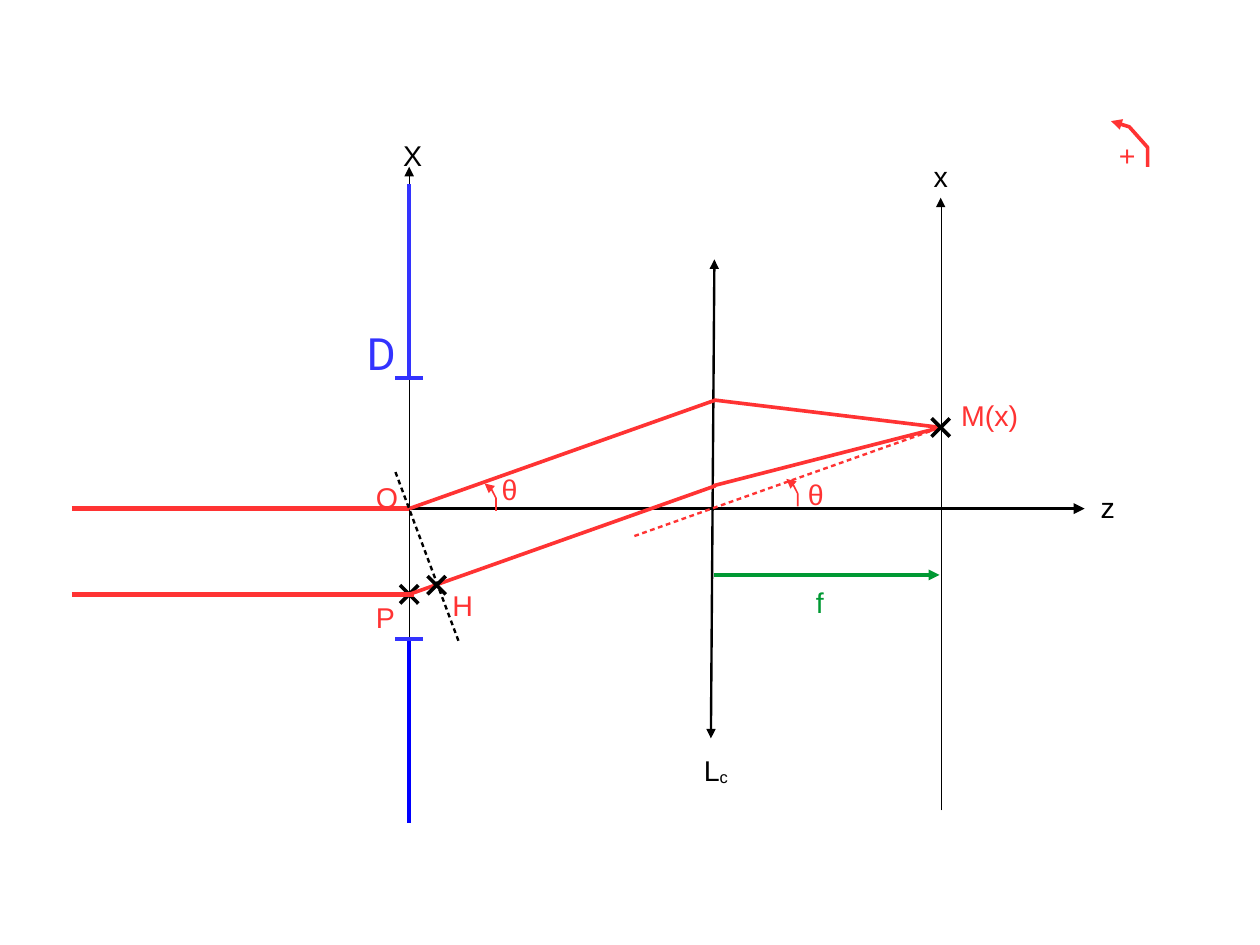
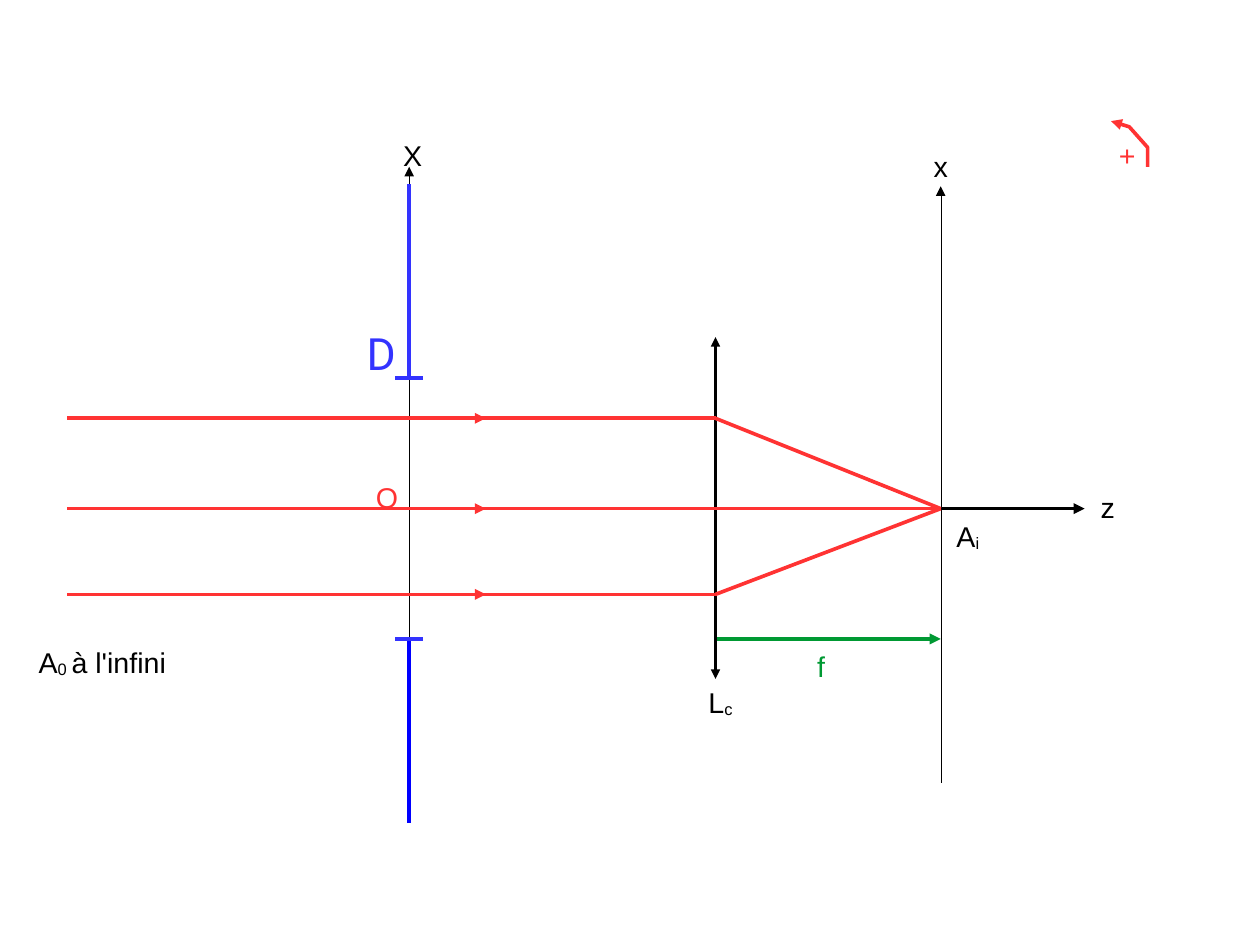
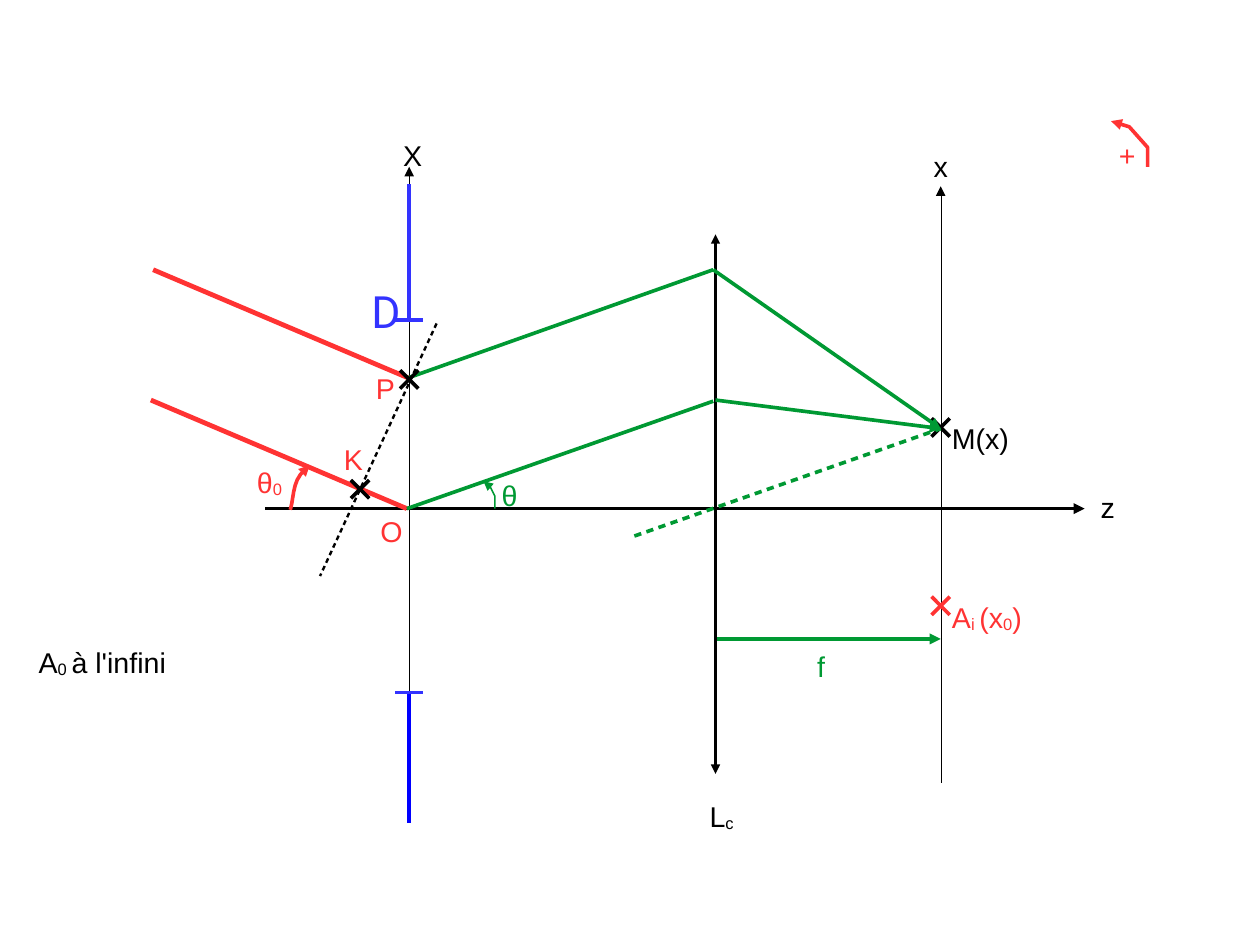
from lxml import etree
from pptx import Presentation
from pptx import util as u
from pptx.dml.color import RGBColor
from pptx.enum import shapes, text
from pptx.oxml.ns import qn

PX = 9144  # EMU per px, 100 px to the inch
BLACK = RGBColor(0x00, 0x00, 0x00)
RED = RGBColor(0xFF, 0x33, 0x33)
GREEN = RGBColor(0x00, 0x99, 0x33)
BLUE = RGBColor(0x33, 0x33, 0xFF)
DEEP_BLUE = RGBColor(0x00, 0x00, 0xFF)
HAIRLINE, ARC, THIN, NORMAL, THICK = 0.03, 1, 1.5, 2.3, 3

APERTURE_X, LENS_X, SCREEN_X, AXIS_Y = 358, 626, 823, 445
THETA_ARC = [(0, 0), (0, -11), (-5, -21), (-10, -24)]


def draw_line(slide, points, color, width=NORMAL, ends="", dashed=False):
    """Draw a connector for two points, an open outline for more.

    ends lists the arrowheads: "tail" is at the last point, "head" at the first.
    """
    scaled = [(x * PX, y * PX) for x, y in points]
    if len(points) == 2:
        stroke = slide.shapes.add_connector(
            shapes.MSO_CONNECTOR.STRAIGHT, *scaled[0], *scaled[1])
    else:
        builder = slide.shapes.build_freeform(*scaled[0])
        builder.add_line_segments(scaled[1:], close=False)
        stroke = builder.convert_to_shape()
        stroke.fill.background()
    stroke.line.color.rgb = color
    stroke.line.width = u.Pt(width)
    properties = stroke._element.spPr
    outline = properties.find(qn("a:ln"))
    if dashed:
        dashes = etree.SubElement(outline, qn("a:custDash"))
        etree.SubElement(dashes, qn("a:ds"), d="200000", sp="150000")
    for end in ends.split():
        etree.SubElement(outline, qn(f"a:{end}End"), type="triangle")
    etree.SubElement(properties, qn("a:effectLst"))


def add_label(slide, x, y, wording, color, width=47, height=38, size=18, font="Arial"):
    """Write a label; the parts between underscores are subscripts."""
    box = slide.shapes.add_textbox(x * PX, y * PX, width * PX, height * PX)
    frame = box.text_frame
    frame.word_wrap = True
    frame.auto_size = text.MSO_AUTO_SIZE.SHAPE_TO_FIT_TEXT
    for index, part in enumerate(wording.split("_")):
        if part:
            run = frame.paragraphs[0].add_run()
            run.text = part
            run.font.size = u.Pt(size)
            run.font.name = font
            run.font.color.rgb = color
            if index % 2:
                run._r.get_or_add_rPr().set("baseline", "-8000")


beam_heights = (366, AXIS_Y, 520)
beams = [([(59, y), (LENS_X, y)], RED) for y in beam_heights]
beams += [([(LENS_X, y), (SCREEN_X, AXIS_Y)], RED) for y in beam_heights]
beams += [([(71, y), (425, y)], RED, NORMAL, "tail") for y in beam_heights]

# Incidence angle: a cubic curve sampled in steps, then a straight end
curve = [(254, 446), (257, 436), (256, 424), (263, 415)]
incidence_arc = []
for step in range(7):
    t = step / 6
    weights = ((1 - t) ** 3, 3 * t * (1 - t) ** 2, 3 * t ** 2 * (1 - t), t ** 3)
    incidence_arc.append(tuple(
        round(sum(w * point[axis] for w, point in zip(weights, curve)), 2)
        for axis in (0, 1)))
incidence_arc.append((271, 407))

scenes = [
    dict(  # diffraction at normal incidence
        screen=(709, 173), screen_label_y=134, edges=(331, 559), stop_label=(311, 280),
        lens=[(622, 646), (625, 227)], lens_label=(606, 654),
        focal_x=(625, 822), focal_y=503,
        marks_below=[(358, 520, BLACK)],
        marks_above=[(823, 374, BLACK), (382, 512, BLACK)],
        rays=[
            ([(63, 445), (358, 445)], RED, THICK),
            ([(63, 520), (362, 520)], RED, THICK),
            ([(358, 445), (626, 350)], RED),
            ([(358, 520), (626, 425)], RED),
            ([(555, 469), (823, 374)], RED, THIN, "", True),
            ([(625, 350), (823, 374)], RED),
            ([(624, 425), (823, 374)], RED),
            ([(346, 413), (402, 563)], BLACK, THIN, "", True),
        ],
        thetas=[(434, 447, RED), (698, 443, RED)],
        labels=[
            (319, 520, "P", RED), (319, 415, "O", RED, 31),
            (429, 408, "θ", RED, 31), (697, 412, "θ", RED, 31),
            (831, 343, "M(x)", RED, 83, 47), (386, 509, "H", RED),
        ]),
    dict(  # geometric image on the axis
        screen=(685, 163), screen_label_y=125, edges=(331, 559), stop_label=(311, 280),
        lens=[(626, 594), (626, 295)], lens_label=(610, 594),
        focal_x=(LENS_X, SCREEN_X), focal_y=559,
        marks_below=[], marks_above=[], rays=beams, thetas=[],
        labels=[
            (319, 415, "O", RED, 31), (827, 449, "A_i_", BLACK, 47, 46),
            (24, 559, "A_0 _à l'infini", BLACK, 134, 46),
        ]),
    dict(  # diffraction at oblique incidence
        screen=(685, 163), screen_label_y=125, edges=(280, 606), stop_label=(315, 244),
        lens=[(626, 677), (626, 205)], lens_label=(611, 694),
        focal_x=(LENS_X, SCREEN_X), focal_y=559,
        marks_below=[(823, 530, RED), (823, 374, BLACK)],
        marks_above=[(358, 332, BLACK), (315, 428, BLACK)],
        rays=[
            ([(358, 331), (134, 236)], RED, THICK),
            ([(356, 445), (132, 350)], RED, THICK),
            ([(356, 445), (624, 351)], GREEN),
            ([(356, 331), (624, 236)], GREEN),
            ([(555, 469), (823, 375)], GREEN, NORMAL, "", True),
            ([(624, 236), (823, 375)], GREEN, NORMAL, "tail"),
            ([(626, 350), (823, 375)], GREEN, NORMAL, "tail"),
            (incidence_arc, RED, NORMAL, "tail"),
            ([(382, 283), (280, 504)], BLACK, THIN, "", True),
        ],
        thetas=[(433, 445, GREEN)],
        labels=[
            (323, 445, "O", RED, 28), (823, 520, "A_i _(x_0_)", RED, 98, 46),
            (24, 559, "A_0 _à l'infini", BLACK, 134, 46),
            (319, 320, "P", RED), (429, 413, "θ", GREEN, 31),
            (823, 363, "M(x)", BLACK, 98, 46), (215, 402, "θ_0_", RED, 50, 46),
            (291, 382, "K", RED, 39),
        ]),
]

deck = Presentation()
deck.slide_width, deck.slide_height = u.Cm(28), u.Cm(21)

for scene in scenes:
    slide = deck.slides.add_slide(deck.slide_layouts[6])
    upper_edge, lower_edge = scene["edges"]
    focal_y = scene["focal_y"]
    focal_start, focal_end = scene["focal_x"]

    # Axes
    draw_line(slide, [(232, AXIS_Y), (949, AXIS_Y)], BLACK, ends="tail")
    draw_line(slide, [(SCREEN_X, y) for y in scene["screen"]], BLACK, HAIRLINE, "tail")
    draw_line(slide, [(APERTURE_X, 720), (APERTURE_X, 146)], BLACK, HAIRLINE, "tail")
    add_label(slide, 343, 116, "X", BLACK)
    add_label(slide, 807, scene["screen_label_y"], "x", BLACK)
    add_label(slide, 953, 424, "z", BLACK, 39)

    # Aperture stop
    add_label(slide, *scene["stop_label"], "D", BLUE, 55, 63, 28, "Roboto")
    draw_line(slide, [(APERTURE_X, lower_edge), (APERTURE_X, 720)], DEEP_BLUE)
    draw_line(slide, [(APERTURE_X, 161), (APERTURE_X, upper_edge)], BLUE)
    for edge in scene["edges"]:
        draw_line(slide, [(APERTURE_X - 12, edge), (APERTURE_X + 12, edge)], BLUE)

    # Lens, focal length and sign of the angles
    draw_line(slide, [(focal_start, focal_y), (focal_end, focal_y)], GREEN, ends="tail")
    add_label(slide, focal_start + 79, focal_y + 4, "f", GREEN)
    draw_line(slide, scene["lens"], BLACK, THIN, "head tail")
    add_label(slide, *scene["lens_label"], "L_c_", BLACK, 63, 46)
    draw_line(slide, [(1004, 146), (1004, 129), (988, 111), (972, 106)], RED, ends="tail")
    add_label(slide, 969, 116, "+", RED, 31)

    # Rays between the lower and the upper point marks
    for marks, rays in ((scene["marks_below"], scene["rays"]), (scene["marks_above"], [])):
        for x, y, color in marks:
            for rise in (8, -8):
                draw_line(slide, [(x - 8, y - rise), (x + 8, y + rise)], color)
        for ray in rays:
            draw_line(slide, *ray)

    for x, y, color in scene["thetas"]:
        draw_line(slide, [(x + dx, y + dy) for dx, dy in THETA_ARC], color, ARC, "tail")
    for label in scene["labels"]:
        add_label(slide, *label)

deck.save("out.pptx")
